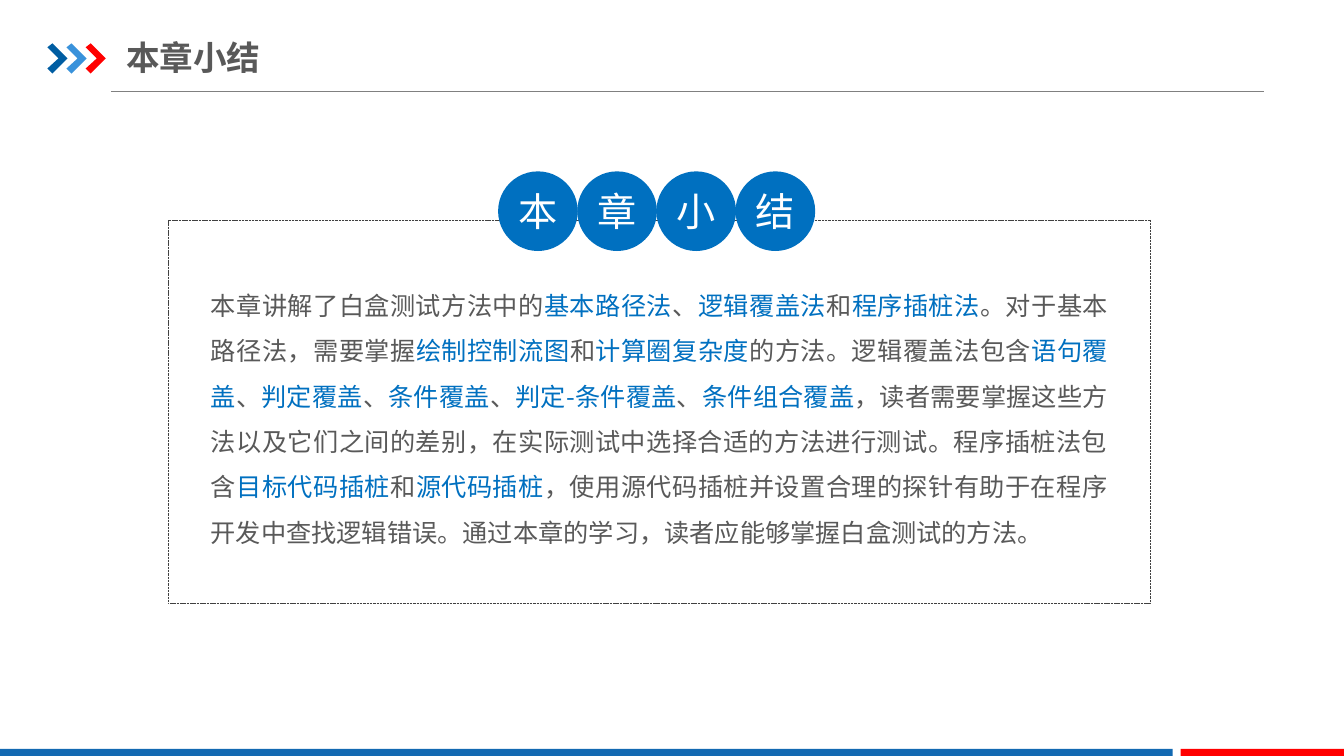
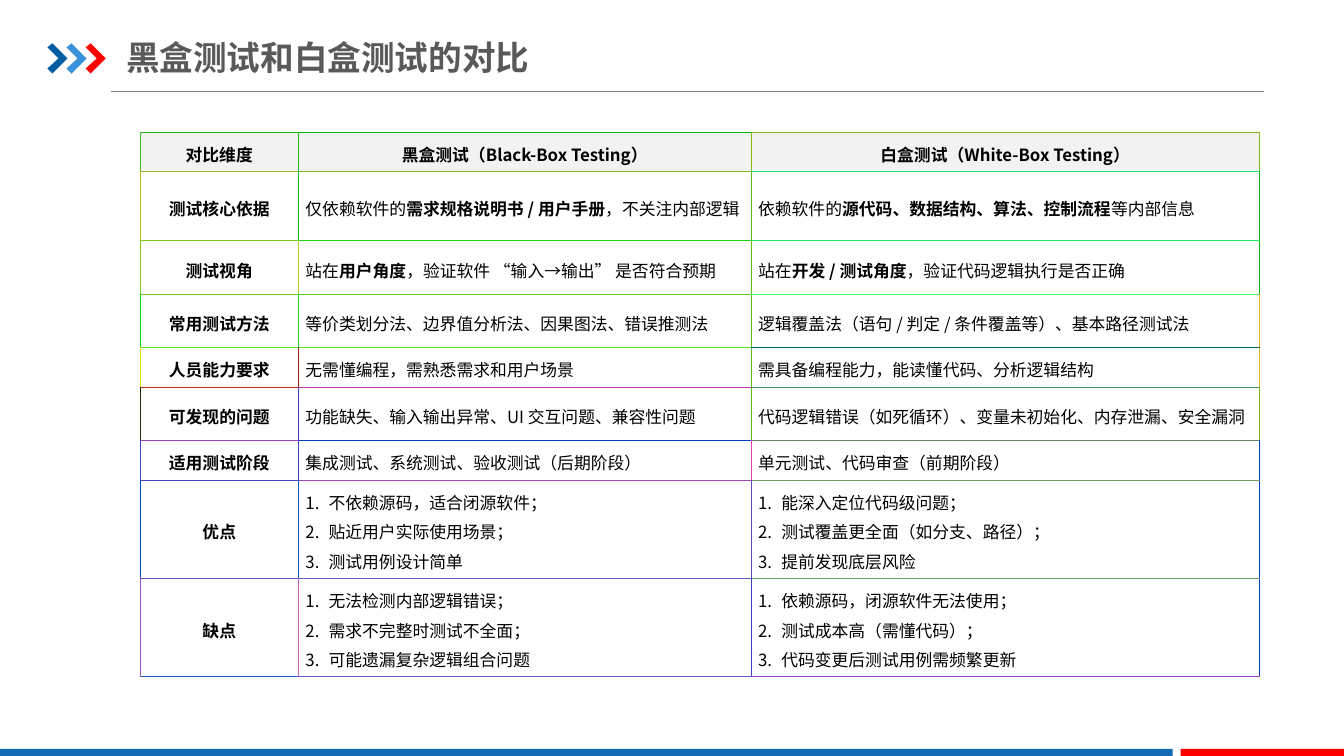
from lxml.etree import SubElement
from pptx import Presentation
from pptx.dml.color import RGBColor as RGB
from pptx.enum.dml import MSO_LINE as DASH
from pptx.enum.shapes import MSO_CONNECTOR as CONN, MSO_SHAPE as SHAPE
from pptx.enum.text import MSO_ANCHOR as ANCHOR, MSO_AUTO_SIZE as FIT, PP_ALIGN as ALIGN
from pptx.oxml.ns import qn
from pptx.util import Inches, Pt

FONT = "Noto Sans CJK SC"
WHITE = RGB(0xFF, 0xFF, 0xFF)
BLACK = RGB(0, 0, 0)
DARK = RGB(0x59, 0x59, 0x59)
EDGE = RGB(0x40, 0x40, 0x40)
RULE = RGB(0x80, 0x80, 0x80)
PALE = RGB(0xF2, 0xF2, 0xF2)
BLUE = RGB(0x00, 0x70, 0xC0)
NAVY = RGB(0x00, 0x5D, 0xA2)
SKY = RGB(0x39, 0x92, 0xDB)
BAND = RGB(0x13, 0x69, 0xB2)
RED = RGB(0xFF, 0, 0)

FLUSH = dict(margin_left=0, margin_top=0, margin_right=0, margin_bottom=0,
             word_wrap=True, auto_size=FIT.NONE)
DISC = FLUSH | dict(vertical_anchor=ANCHOR.MIDDLE)
HEAD = DISC | dict(margin_top=Inches(0.07), margin_bottom=Inches(0.07))
CELL = dict(margin_left=Inches(0.07), margin_top=Inches(0.05),
            margin_right=Inches(0.07), margin_bottom=Inches(0.05),
            vertical_anchor=ANCHOR.MIDDLE)

# Text between asterisks is emphasised
SUMMARY = (
    "本章讲解了白盒测试方法中的*基本路径法*、*逻辑覆盖法*和*程序插桩法*。"
    "对于基本路径法，需要掌握*绘制控制流图*和*计算圈复杂度*的方法。"
    "逻辑覆盖法包含*语句覆盖*、*判定覆盖*、*条件覆盖*、*判定-条件覆盖*、*条件组合覆盖*，"
    "读者需要掌握这些方法以及它们之间的差别，在实际测试中选择合适的方法进行测试。"
    "程序插桩法包含*目标代码插桩*和*源代码插桩*，"
    "使用源代码插桩并设置合理的探针有助于在程序开发中查找逻辑错误。"
    "通过本章的学习，读者应能够掌握白盒测试的方法。")

# A list in a cell is numbered
ROWS = [
    ("对比维度", "黑盒测试（Black-Box Testing）", "白盒测试（White-Box Testing）"),
    ("测试核心依据", "仅依赖软件的*需求规格说明书 / 用户手册*，不关注内部逻辑",
     "依赖软件的*源代码、数据结构、算法、控制流程*等内部信息"),
    ("测试视角", "站在*用户角度*，验证软件 “输入→输出” 是否符合预期",
     "站在*开发 / 测试角度*，验证代码逻辑执行是否正确"),
    ("常用测试方法", "等价类划分法、边界值分析法、因果图法、错误推测法",
     "逻辑覆盖法（语句 / 判定 / 条件覆盖等）、基本路径测试法"),
    ("人员能力要求", "无需懂编程，需熟悉需求和用户场景",
     "需具备编程能力，能读懂代码、分析逻辑结构"),
    ("可发现的问题", "功能缺失、输入输出异常、UI 交互问题、兼容性问题",
     "代码逻辑错误（如死循环）、变量未初始化、内存泄漏、安全漏洞"),
    ("适用测试阶段", "集成测试、系统测试、验收测试（后期阶段）",
     "单元测试、代码审查（前期阶段）"),
    ("优点", ["不依赖源码，适合闭源软件；", "贴近用户实际使用场景；", "测试用例设计简单"],
     ["能深入定位代码级问题；", "测试覆盖更全面（如分支、路径）；", "提前发现底层风险"]),
    ("缺点", ["无法检测内部逻辑错误；", "需求不完整时测试不全面；", "可能遗漏复杂逻辑组合问题"],
     ["依赖源码，闭源软件无法使用；", "测试成本高（需懂代码）；", "代码变更后测试用例需频繁更新"]),
]
WIDTHS = (1.57, 4.49, 5.04)
HEIGHTS = (0.39, 0.68, 0.53, 0.53, 0.39, 0.53, 0.39, 0.97, 0.97)

# Rule colours: one line per horizontal rule, then one per row of upright rules
FLAT = [line.split() for line in (
    "20B815 00B715 80B815", "A0BA15 80BD15 20E56D", "80C715 20CF15 20E56D",
    "80CD15 60CB15 40FE6D", "60E815 60E215 106963", "C02B16 C03ABE 409363",
    "A045BE 0042BE 608B63", "4048BE A048BE 709663", "6051BE 605DBE 60A363",
    "2054BE 605BBE A03CBE")]
TALL = [line.split() for line in (
    "40B815 20B715 80B815 80B815", "C0BA15 00C115 60B815 00B715",
    "80C415 C0CC15 60BE15 00B715", "00D715 20D215 60BE15 E0B515",
    "E0E815 A02416 60BE15 E0B515", "202C16 403BBE 60BE15 80B715",
    "4042BE 4042BE E03CBE 003CBE", "0049BE 0050BE 6046BE 003CBE",
    "A051BE C05EBE 4042BE 003CBE")]


def put(item, form):
    for name, value in form.items():
        setattr(item, name, value)


def inch(*sizes):
    return [Inches(size) for size in sizes]


def write(para, text, size, tint, bold=False, strong=None):
    """Add runs; marked parts are bold, or take the strong tint if given."""
    for i, part in enumerate(text.split("*")):
        if not part:
            continue
        mark = i % 2 == 1
        run = para.add_run()
        run.text = part
        put(run.font, dict(name=FONT, size=Pt(size),
                           bold=bold or (mark and strong is None)))
        run.font.color.rgb = strong if mark and strong else tint
        SubElement(run._r.get_or_add_rPr(), qn("a:ea"), typeface=FONT)


def paint(shape, fill=None):
    shape.shadow.inherit = False
    shape.line.fill.background()
    if fill is None:
        shape.fill.background()
    else:
        shape.fill.solid()
        shape.fill.fore_color.rgb = fill
    return shape


def arrows(shapes, left, top):
    """Three chevrons in one group."""
    group = shapes.add_group_shape()
    for i, tint in enumerate((NAVY, SKY, RED)):
        x = left + i * 0.19
        dots = [inch(x + dx, top + dy) for dx, dy in (
            (0, 0.04), (0.05, 0), (0.2, 0.15), (0.05, 0.3), (0, 0.25), (0.11, 0.15))]
        pen = group.shapes.build_freeform(*dots[0])
        pen.add_line_segments(dots[1:], close=True)
        paint(pen.convert_to_shape(), tint)
    return group


def frame(slide):
    """Draw the shared parts and hand them to the layout."""
    shapes = slide.shapes
    rule = shapes.add_connector(CONN.STRAIGHT, *inch(1.1, 0.91, 12.54, 0.91))
    rule.line.color.rgb = RULE
    rule.line.width = Pt(0.75)
    SubElement(rule.element.spPr, qn("a:effectLst"))
    parts = [rule, arrows(shapes, 0.47, 0.43)]
    for left, width, tint in ((0, 11.63, BAND), (11.71, 1.63, RED)):
        bar = shapes.add_shape(SHAPE.RECTANGLE, *inch(left, 7.43, width, 0.09))
        parts.append(paint(bar, tint))
    tree = slide.slide_layout.shapes.element
    for part in parts:
        tree.append(part.element)
    for i, tag in enumerate(tree.iter(qn("p:cNvPr")), 1):
        tag.set("id", str(i))


def head(slide, text):
    title = slide.shapes.title
    put(title, dict(zip(("left", "top", "width", "height"),
                        inch(1.25, 0.29, 6.2, 0.55))))
    put(title.text_frame, HEAD)
    para = title.text_frame.paragraphs[0]
    para.alignment = ALIGN.LEFT
    write(para, text, 24, DARK, bold=True)


def panel(slide, left, top, width, height):
    """Dashed box with its text and a row of discs over its top edge."""
    shapes = slide.shapes
    box = paint(shapes.add_shape(SHAPE.RECTANGLE, *inch(left, top, width, height)))
    box.line.color.rgb = EDGE
    put(box.line, dict(width=Pt(0.25), dash_style=DASH.SQUARE_DOT))

    text = shapes.add_textbox(*inch(left + 0.42, top + 0.55, width - 0.84, 2.73))
    put(text.text_frame, FLUSH)
    para = text.text_frame.paragraphs[0]
    put(para, dict(alignment=ALIGN.JUSTIFY, line_spacing=1.5))
    write(para, SUMMARY, 18, DARK, strong=BLUE)

    for i, char in enumerate("本章小结"):
        disc = shapes.add_shape(
            SHAPE.OVAL, *inch(left + 3.27 + i * 0.785, top - 0.48, 0.79, 0.79))
        paint(disc, BLUE)
        put(disc.text_frame, DISC)
        para = disc.text_frame.paragraphs[0]
        para.alignment = ALIGN.CENTER
        write(para, char, 28, WHITE)


def edges(cell, row, col):
    """Colour the four borders of a cell."""
    props = cell._tc.get_or_add_tcPr()
    tints = dict(L=TALL[row][col], R=TALL[row][col + 1],
                 T=FLAT[row][col], B=FLAT[row + 1][col])
    for side, tint in tints.items():
        line = SubElement(props, qn("a:ln" + side), w=str(Pt(0.48)))
        SubElement(SubElement(line, qn("a:solidFill")), qn("a:srgbClr"), val=tint)


def number(para):
    """Number a paragraph with a hanging indent."""
    props = para._p.get_or_add_pPr()
    hang = Inches(0.23)
    props.set("marL", str(hang))
    props.set("indent", str(-hang))
    SubElement(props, qn("a:buFont"), typeface=FONT)
    SubElement(props, qn("a:buAutoNum"), type="arabicPeriod")


def fill(cell, text, main):
    """Write the lines of a cell; main cells are bold and centred."""
    listed = isinstance(text, list)
    body = cell.text_frame
    for i, line in enumerate(text if listed else [text]):
        para = body.add_paragraph() if i else body.paragraphs[0]
        put(para, dict(alignment=ALIGN.CENTER if main else ALIGN.LEFT,
                       line_spacing=Pt(21)))
        if listed:
            number(para)
        write(para, line, 12, BLACK, bold=main)


def grid(slide, left, top):
    """Comparison table."""
    table = slide.shapes.add_table(
        len(ROWS), len(WIDTHS), *inch(left, top, sum(WIDTHS), sum(HEIGHTS))).table
    put(table, dict(first_row=False, horz_banding=False))
    for col, width in zip(table.columns, WIDTHS):
        col.width = Inches(width)
    for r, (height, texts) in enumerate(zip(HEIGHTS, ROWS)):
        table.rows[r].height = Inches(height)
        for c, text in enumerate(texts):
            cell = table.cell(r, c)
            put(cell, CELL)
            edges(cell, r, c)
            cell.fill.solid()
            cell.fill.fore_color.rgb = WHITE if r else PALE
            fill(cell, text, main=r == 0 or c == 0)


def main():
    deck = Presentation()
    put(deck, dict(slide_width=Inches(13.33), slide_height=Inches(7.5)))
    layout = deck.slide_layouts[5]

    # Chapter summary
    slide = deck.slides.add_slide(layout)
    frame(slide)
    head(slide, "本章小结")
    panel(slide, 1.67, 2.18, 9.74, 3.8)

    # Comparison of the two kinds of test
    slide = deck.slides.add_slide(layout)
    head(slide, "黑盒测试和白盒测试的对比")
    grid(slide, 1.39, 1.31)

    deck.save("out.pptx")


if __name__ == "__main__":
    main()
